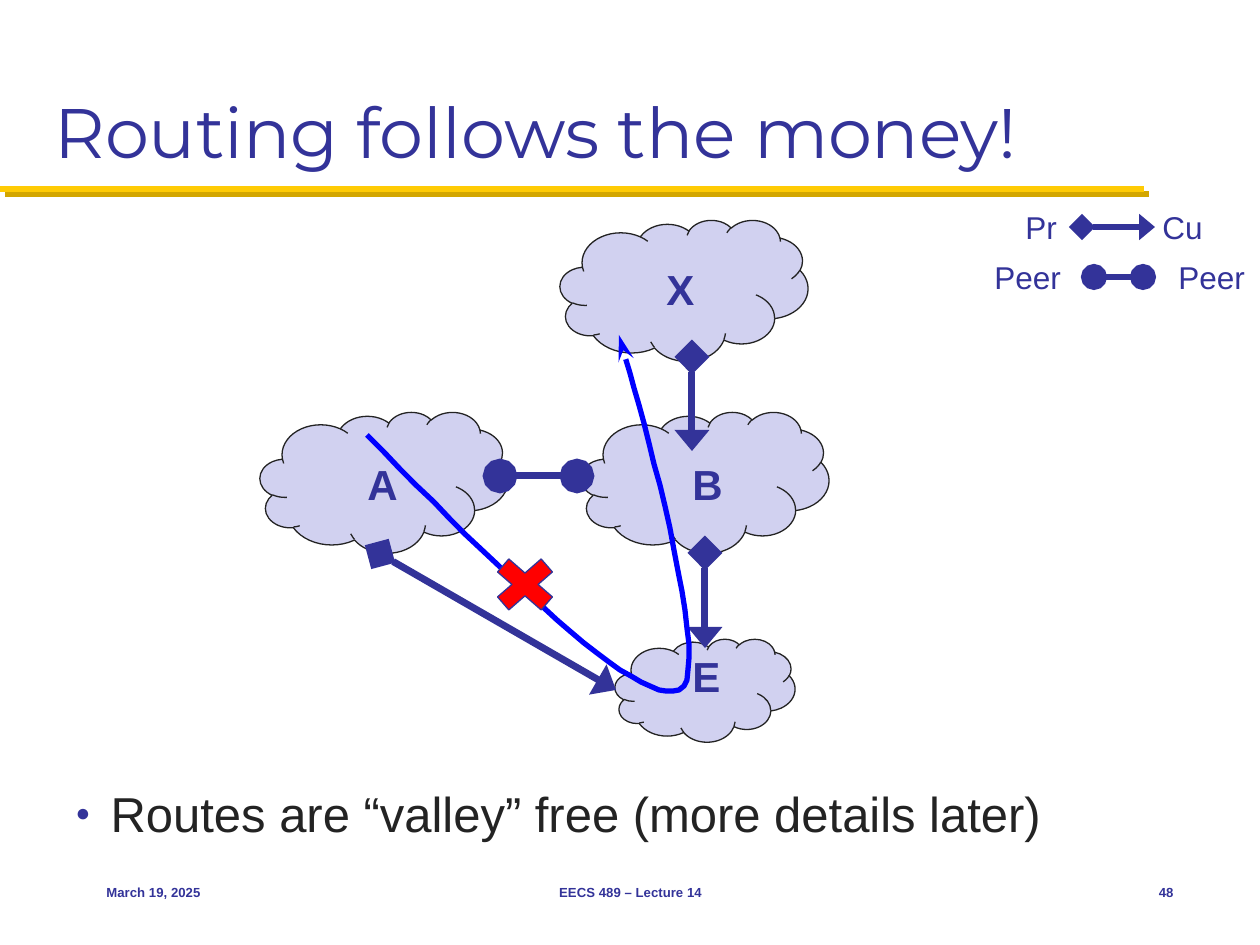
import pptx
import pptx.util
import pptx.dml.color
import pptx.enum.shapes
import pptx.enum.text
import pptx.oxml
import pptx.oxml.ns

SCALE = 914400 / 126
COLORS = {
    "navy": "333399",
    "ink": "232323",
    "cloud": "D1D1F0",
    "route": "0000FF",
    "cross": "FF0000",
    "gold": "FFCB05",
    "dark_gold": "D3A600",
}
ALIGN = pptx.enum.text.PP_ALIGN
ANCHOR = pptx.enum.text.MSO_ANCHOR
AUTO = pptx.enum.text.MSO_AUTO_SIZE
SHAPE = pptx.enum.shapes.MSO_SHAPE
NS = pptx.oxml.ns.nsdecls("a")


def px(n):
    return pptx.util.Emu(round(n * SCALE))


def rgb(name):
    return pptx.dml.color.RGBColor.from_string(COLORS[name])


def bezier(p0, p1, p2, p3, steps=24):
    for i in range(1, steps + 1):
        t = i / steps
        u = 1 - t
        weights = (u ** 3, 3 * u * u * t, 3 * u * t * t, t ** 3)
        yield tuple(sum(w * p[k] for w, p in zip(weights, (p0, p1, p2, p3))) for k in (0, 1))


class Deck:
    font = "Arial"

    def __init__(self, prs):
        self.prs = prs
        self.s = prs.slides.add_slide(prs.slide_layouts[1])

    def place(self, sp, x, y, w, h):
        sp.left, sp.top, sp.width, sp.height = px(x), px(y), px(w), px(h)

    def run(self, p, text, size, color="navy", bold=False, font=None):
        r = p.add_run()
        r.text = text
        r.font.size = pptx.util.Pt(size)
        r.font.name = font or self.font
        r.font.bold = bold
        r.font.color.rgb = rgb(color)

    def title(self, text, *box):
        sp = self.s.shapes.title
        self.place(sp, *box)
        tf = sp.text_frame
        tf.auto_size = AUTO.NONE
        tf.vertical_anchor = ANCHOR.BOTTOM
        p = tf.paragraphs[0]
        p.alignment = ALIGN.LEFT
        self.run(p, text, 40, font="Montserrat")

    def body(self, text, *box):
        sp = self.s.placeholders[1]
        self.place(sp, *box)
        tf = sp.text_frame
        tf.auto_size = AUTO.NONE
        p = tf.paragraphs[0]
        p.space_before = pptx.util.Pt(0)
        pPr = p._p.get_or_add_pPr()
        pPr.set("marL", str(px(35)))
        pPr.set("indent", str(px(-35)))
        for xml in (
            f'<a:buClr {NS}><a:srgbClr val="{COLORS["navy"]}"/></a:buClr>',
            f'<a:buSzPct {NS} val="50000"/>',
            f'<a:buFont {NS} typeface="Arial"/>',
            f'<a:buChar {NS} char="●"/>',
        ):
            pPr.append(pptx.oxml.parse_xml(xml))
        self.run(p, text, 28, "ink")

    def label(self, text, x, y, w, h, size, bold=False):
        tf = self.s.shapes.add_textbox(px(x), px(y), px(w), px(h)).text_frame
        tf.word_wrap = False
        tf.auto_size = AUTO.SHAPE_TO_FIT_TEXT
        self.run(tf.paragraphs[0], text, size, bold=bold)

    def footer(self, text, x, w, align):
        tf = self.s.shapes.add_textbox(px(x), px(861), px(w), px(63)).text_frame
        tf.word_wrap = True
        tf.vertical_anchor = ANCHOR.MIDDLE
        p = tf.paragraphs[0]
        p.alignment = align
        self.run(p, text, 7.5, bold=True)

    def shape(self, kind, x, y, w, h, fill, line):
        sp = self.s.shapes.add_shape(kind, px(x), px(y), px(w), px(h))
        sp.shadow.inherit = False
        sp.fill.solid()
        sp.fill.fore_color.rgb = rgb(fill)
        self.stroke(sp, line, 0.75)

    def stroke(self, sp, color, width):
        sp.line.color.rgb = rgb(color)
        sp.line.width = pptx.util.Pt(width)

    def ends(self, sp, *ends):
        ln = sp.element.spPr.find(pptx.oxml.ns.qn("a:ln"))
        for tag, kind, w, length in ends:
            ln.append(pptx.oxml.parse_xml(
                f'<a:{tag} {NS} type="{kind}" w="{w}" len="{length}"/>'))

    def line(self, x1, y1, x2, y2, color="navy", width=4, ends=(), effect=""):
        kind = pptx.enum.shapes.MSO_CONNECTOR.STRAIGHT
        sp = self.s.shapes.add_connector(kind, px(x1), px(y1), px(x2), px(y2))
        self.stroke(sp, color, width)
        self.ends(sp, *ends)
        sp.element.spPr.append(
            pptx.oxml.parse_xml(f"<a:effectLst {NS}>{effect}</a:effectLst>"))

    def customer(self, *points, width=4):
        self.line(*points, width=width, ends=(
            ("headEnd", "diamond", "lg", "lg"), ("tailEnd", "triangle", "lg", "med")))

    def peer(self, *points, width=4):
        self.line(*points, width=width, ends=(
            ("headEnd", "oval", "lg", "lg"), ("tailEnd", "oval", "lg", "lg")))

    def route(self, start, *curves):
        fb = self.s.shapes.build_freeform(*start, scale=SCALE)
        for curve in curves:
            points = list(bezier(start, *curve))
            fb.add_line_segments(points, close=False)
            start = curve[-1]
        sp = fb.convert_to_shape()
        sp.shadow.inherit = False
        sp.fill.background()
        self.stroke(sp, "route", 3)
        self.ends(sp, ("tailEnd", "stealth", "med", "lg"))


def main():
    prs = pptx.Presentation()
    prs.slide_width = pptx.util.Inches(10)
    prs.slide_height = pptx.util.Inches(7.5)
    d = Deck(prs)

    d.line(0, 189, 1144, 189, "gold", 3.5, effect=(
        '<a:outerShdw dist="53340" dir="2700000" algn="ctr" rotWithShape="0">'
        f'<a:srgbClr val="{COLORS["dark_gold"]}"/></a:outerShdw>'))
    d.title("Routing follows the money!", 42, 21, 1176, 158)
    d.body("Routes are “valley” free (more details later)", 63, 777, 1134, 147)

    for x, y, w, h in ((615, 639, 180, 103), (581, 412, 248, 141),
                       (260, 412, 248, 141), (560, 220, 248, 141)):
        d.shape(SHAPE.CLOUD, x, y, w, h, "cloud", "ink")

    d.peer(500, 476, 577, 476)
    for points in ((380, 554, 616, 690), (705, 553, 705, 648), (692, 357, 692, 451)):
        d.customer(*points)
    for name, x, y in (("A", 355, 452), ("B", 680, 452), ("E", 680, 644), ("X", 654, 257)):
        d.label(name, x, y, 52, 47, 24, bold=True)

    d.customer(1082, 227, 1155, 227, width=3)
    d.peer(1094, 277, 1143, 277, width=3)
    for text, x, y, w in (("Pr", 1013, 202, 59), ("Cu", 1150, 202, 68),
                          ("Peer", 982, 252, 94), ("Peer", 1166, 252, 94)):
        d.label(text, x, y, w, 50, 18)

    d.footer("March 19, 2025", 94, 262, ALIGN.LEFT)
    d.footer("EECS 489 – Lecture 14", 431, 399, ALIGN.CENTER)
    d.footer("48", 1102, 84, ALIGN.RIGHT)

    d.route((367, 435),
            ((501, 571), (636, 707), (679, 690)),
            ((721, 674), (619, 335), (619, 335)))
    d.shape(SHAPE.MATH_MULTIPLY, 483, 548, 84, 73, "cross", "navy")

    prs.save("out.pptx")


if __name__ == "__main__":
    main()
